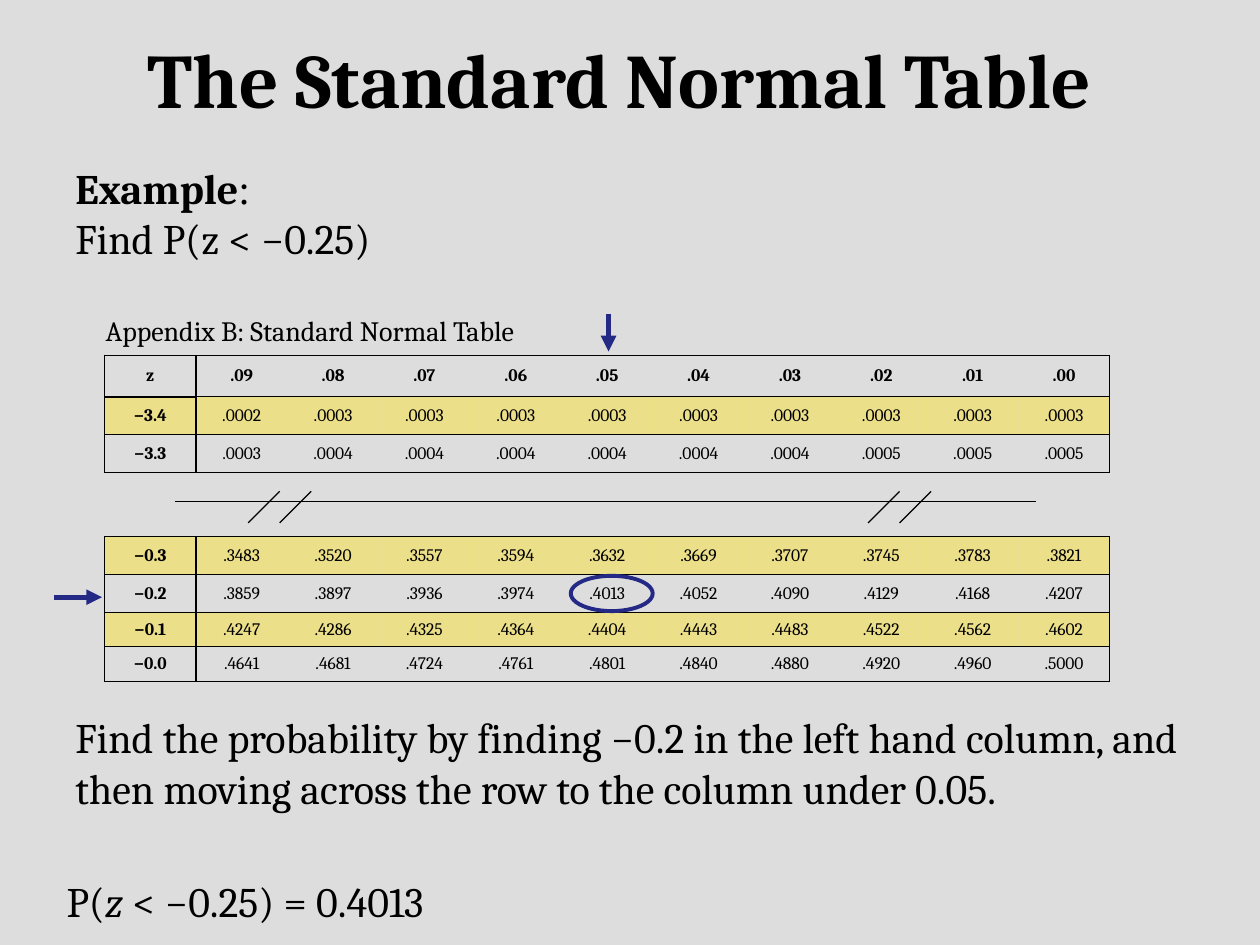
from dataclasses import dataclass

from lxml import etree
from pptx import Presentation
from pptx.dml.color import RGBColor
from pptx.enum.shapes import MSO_CONNECTOR, MSO_SHAPE
from pptx.enum.text import MSO_ANCHOR, MSO_AUTO_SIZE, PP_ALIGN
from pptx.oxml.ns import qn
from pptx.util import Inches, Pt

STRAIGHT = MSO_CONNECTOR.STRAIGHT
OVAL = MSO_SHAPE.OVAL
CENTER = PP_ALIGN.CENTER
MIDDLE = MSO_ANCHOR.MIDDLE
NO_FIT = MSO_AUTO_SIZE.NONE
TITLE_ONLY = 5


@dataclass(frozen=True)
class Theme:
    font: str = "Cambria"
    alt_font: str = "Times New Roman"
    background: str = "DDDDDD"
    ink: str = "000000"
    accent: str = "242985"
    band: str = "FBE136"
    band_alpha: int = 50
    title: int = 44
    body: int = 24
    caption: int = 16
    cell: int = 10
    thin: float = 0.75
    frame: float = 1
    ring: float = 2.25
    arrow: float = 3


THEME = Theme()

TABLE_LEFT, TABLE_WIDTH = 0.83, 7.98
UPPER_ROWS = [
    "z .09 .08 .07 .06 .05 .04 .03 .02 .01 .00",
    "−3.4 .0002 .0003 .0003 .0003 .0003 .0003 .0003 .0003 .0003 .0003",
    "−3.3 .0003 .0004 .0004 .0004 .0004 .0004 .0004 .0005 .0005 .0005",
]
LOWER_ROWS = [
    "−0.3 .3483 .3520 .3557 .3594 .3632 .3669 .3707 .3745 .3783 .3821",
    "−0.2 .3859 .3897 .3936 .3974 .4013 .4052 .4090 .4129 .4168 .4207",
    "−0.1 .4247 .4286 .4325 .4364 .4404 .4443 .4483 .4522 .4562 .4602",
    "−0.0 .4641 .4681 .4724 .4761 .4801 .4840 .4880 .4920 .4960 .5000",
]


def rgb(color):
    return RGBColor.from_string(color)


def add_run(p, text, size, bold=False, italic=False, font=THEME.font):
    r = p.add_run()
    r.text = text
    r.font.name = font
    r.font.size = Pt(size)
    r.font.bold = bold
    r.font.italic = italic
    r.font.color.rgb = rgb(THEME.ink)


def add_title(slide, text):
    sp = slide.shapes.title
    sp.left, sp.top = Inches(-0.08), Inches(0.31)
    sp.width, sp.height = Inches(10), Inches(0.61)
    tf = sp.text_frame
    tf.auto_size = NO_FIT
    tf.vertical_anchor = MIDDLE
    p = tf.paragraphs[0]
    p.alignment = CENTER
    add_run(p, text, THEME.title, bold=True)


def add_text(slide, left, top, width, height, paragraphs, size=THEME.body, wrap=True):
    """Each paragraph is a list of (text, run options) pairs."""
    sp = slide.shapes.add_textbox(Inches(left), Inches(top), Inches(width), Inches(height))
    tf = sp.text_frame
    tf.word_wrap = wrap
    for i, runs in enumerate(paragraphs):
        p = tf.add_paragraph() if i else tf.paragraphs[0]
        for text, options in runs:
            add_run(p, text, size, **options)


def add_line(shapes, start, end, color=THEME.ink, width=THEME.thin, arrow=False):
    x1, y1, x2, y2 = (Inches(v) for v in (*start, *end))
    line = shapes.add_connector(STRAIGHT, x1, y1, x2, y2)
    line.line.color.rgb = rgb(color)
    line.line.width = Pt(width)
    if arrow:
        etree.SubElement(line.line._get_or_add_ln(), qn("a:tailEnd"), type="triangle")
    etree.SubElement(line._element.spPr, qn("a:effectLst"))


def set_borders(cell, widths):
    """Widths in points for left, right, top, bottom; 0 means no line."""
    tcPr = cell._tc.get_or_add_tcPr()
    for i, (side, width) in enumerate(zip("LRTB", widths)):
        ln = etree.Element(qn(f"a:ln{side}"), w=str(Pt(width)))
        if width:
            fill = etree.SubElement(ln, qn("a:solidFill"))
            etree.SubElement(fill, qn("a:srgbClr"), val=THEME.ink)
        else:
            etree.SubElement(ln, qn("a:noFill"))
        tcPr.insert(i, ln)


def fill_cell(cell, banded):
    if not banded:
        cell.fill.background()
        return
    cell.fill.solid()
    cell.fill.fore_color.rgb = rgb(THEME.band)
    color = cell._tc.tcPr.find(".//" + qn("a:srgbClr"))
    etree.SubElement(color, qn("a:alpha"), val=str(THEME.band_alpha * 1000))


def cell_borders(row, col, last_row, last_col):
    thin, frame = THEME.thin, THEME.frame
    if col == 0:
        return thin, frame, frame, thin if row == last_row else frame
    return frame if col == 1 else 0, thin if col == last_col else 0, thin, thin


def add_z_table(slide, top, rows, heights, first_band, header=False):
    """Band every second row, starting from first_band."""
    grid = [row.split() for row in rows]
    n_rows, n_cols = len(grid), len(grid[0])
    table = slide.shapes.add_table(
        n_rows, n_cols, Inches(TABLE_LEFT), Inches(top),
        Inches(TABLE_WIDTH), Inches(sum(heights))).table
    table.first_row = table.horz_banding = False
    for column in table.columns:
        column.width = Inches(TABLE_WIDTH / n_cols)
    for i, values in enumerate(grid):
        table.rows[i].height = Inches(heights[i])
        for j, value in enumerate(values):
            cell = table.cell(i, j)
            cell.vertical_anchor = MIDDLE
            p = cell.text_frame.paragraphs[0]
            p.alignment = CENTER
            add_run(p, value, THEME.cell, bold=j == 0 or (header and i == 0))
            fill_cell(cell, i % 2 == first_band)
            set_borders(cell, cell_borders(i, j, n_rows - 1, n_cols - 1))


def add_table_break(slide):
    shapes = slide.shapes.add_group_shape().shapes
    add_line(shapes, (1.39, 3.98), (8.22, 3.98))
    for x in (1.97, 2.22, 6.89, 7.14):
        add_line(shapes, (x + 0.25, 3.9), (x, 4.15))


def add_ring(slide, left, top, width, height):
    sp = slide.shapes.add_shape(OVAL, Inches(left), Inches(top), Inches(width), Inches(height))
    sp.shadow.inherit = False
    sp.fill.background()
    sp.line.color.rgb = rgb(THEME.accent)
    sp.line.width = Pt(THEME.ring)


def main():
    prs = Presentation()
    prs.slide_width, prs.slide_height = Inches(10), Inches(7.5)
    slide = prs.slides.add_slide(prs.slide_layouts[TITLE_ONLY])
    slide.background.fill.solid()
    slide.background.fill.fore_color.rgb = rgb(THEME.background)

    add_title(slide, "The Standard Normal Table")
    add_text(slide, 0.5, 1.24, 8.83, 0.91, [
        [("Example", {"bold": True}), (":", {"font": THEME.alt_font})],
        [("Find P(z < −0.25)", {})],
    ])
    add_z_table(slide, 2.82, UPPER_ROWS, [0.33, 0.3, 0.3], first_band=1, header=True)
    for start, end in (((0.43, 4.74), (0.81, 4.74)), ((4.83, 2.49), (4.83, 2.79))):
        add_line(slide.shapes, start, end, THEME.accent, THEME.arrow, arrow=True)
    add_text(slide, 0.5, 5.6, 9.33, 1.31, [[(
        "Find the probability by finding −0.2 in the left hand column, "
        "and then moving across the row to the column under 0.05.", {})]])
    add_text(slide, 0.43, 6.9, 8.42, 0.5, [
        [("P(", {}), ("z", {"italic": True}), (" < −0.25) = 0.4013", {})]])
    add_z_table(slide, 4.26, LOWER_ROWS, [0.3, 0.3, 0.27, 0.28], first_band=0)
    add_table_break(slide)
    add_ring(slide, 4.53, 4.57, 0.65, 0.28)
    add_text(slide, 0.74, 2.44, 3.98, 0.37,
             [[("Appendix B: Standard Normal Table", {})]], THEME.caption, wrap=False)
    prs.save("out.pptx")


if __name__ == "__main__":
    main()
